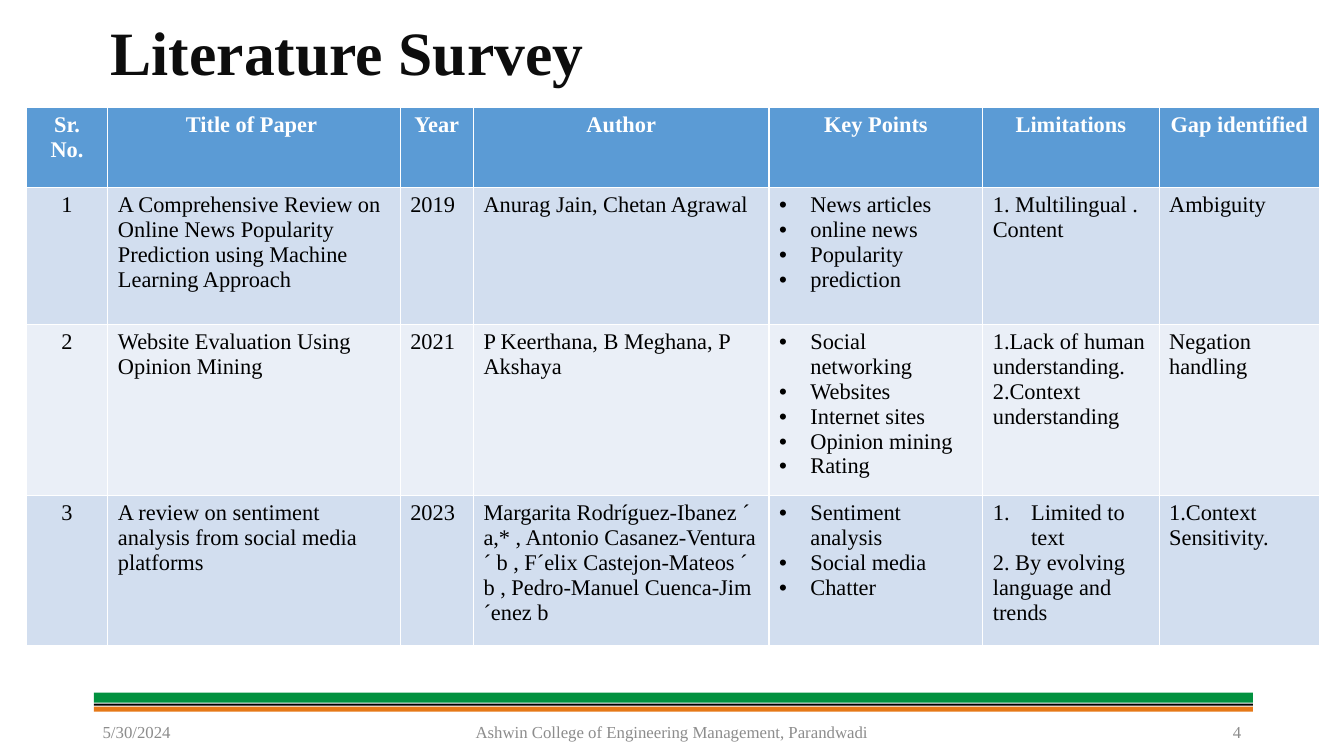
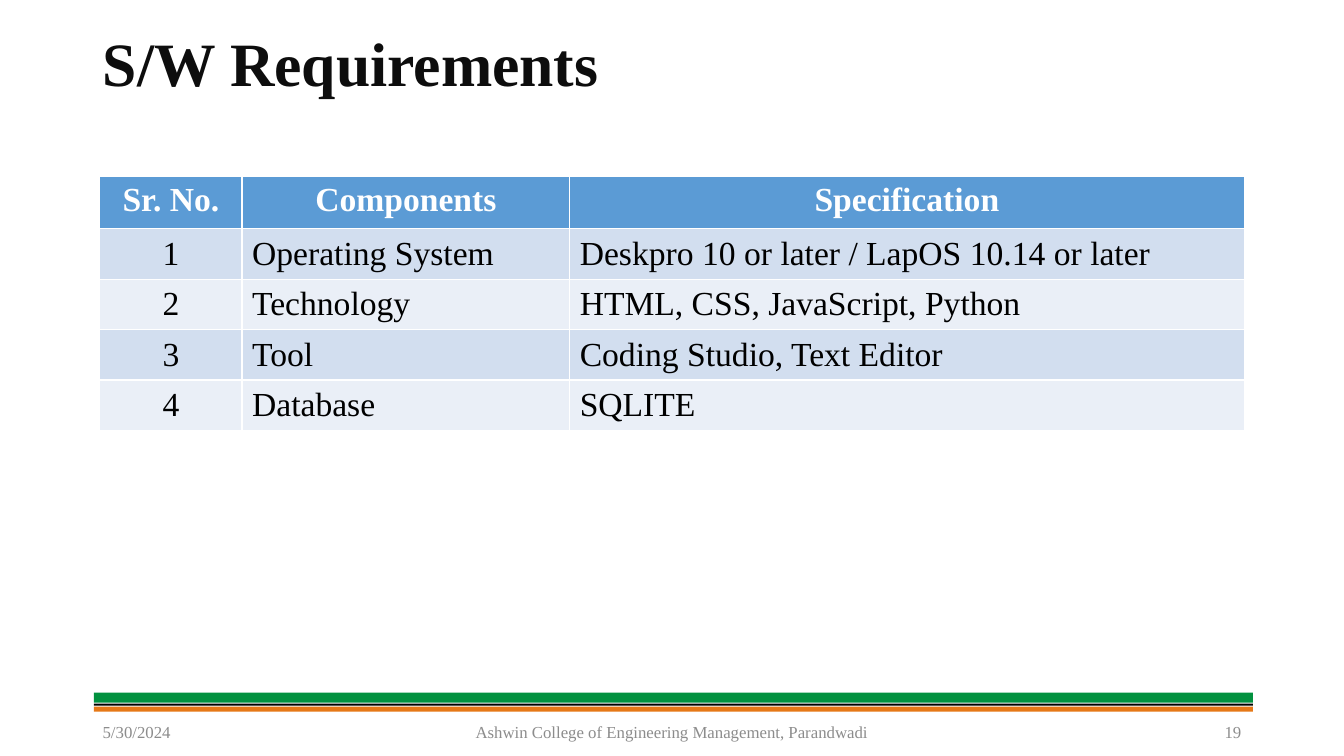
from dataclasses import dataclass

from lxml import etree
from pptx import Presentation
from pptx.dml.color import RGBColor
from pptx.enum.shapes import MSO_SHAPE
from pptx.enum.text import MSO_ANCHOR, MSO_AUTO_SIZE, PP_ALIGN
from pptx.oxml.ns import qn
from pptx.util import Inches, Pt

LEFT, CENTER, RIGHT = PP_ALIGN.LEFT, PP_ALIGN.CENTER, PP_ALIGN.RIGHT
TOP, MIDDLE = MSO_ANCHOR.TOP, MSO_ANCHOR.MIDDLE
RECTANGLE = MSO_SHAPE.RECTANGLE
NO_AUTOFIT = MSO_AUTO_SIZE.NONE
TITLE_ONLY = 5
WIDTH, HEIGHT = Inches(13.33), Inches(7.5)


@dataclass(frozen=True)
class Theme:
    typeface: str = "Times New Roman"
    title: str = "0D0D0D"
    header_text: str = "FFFFFF"
    body_text: str = "000000"
    footer_text: str = "8C8C8C"
    header_fill: str = "5B9BD5"
    row_fills: tuple = ("D2DEEF", "EAEFF7")
    title_size: int = 44
    footer_size: int = 12
    bands: tuple = (("02913F", 91.6, 1.33), ("E67817", 93.47, 0.67), ("000000", 93.07, 0.27))


THEME = Theme()
BAND_LEFT, BAND_WIDTH = 6.98, 86.25
FOOTER_MARGIN, FOOTER_TOP, FOOTER_HEIGHT = 6.9, 94.13, 5.33
SIDE_WIDTH, MIDDLE_WIDTH = 22.5, 33.75
DATE = "5/30/2024"
COLLEGE = "Ashwin College of Engineering Management, Parandwadi"
BULLET, NUMBER = "•", "1."
MARKER_INDENTS = {BULLET: Inches(0.31), NUMBER: Inches(0.38)}


def bulleted(*points):
    return [(BULLET, point) for point in points]


SURVEY_HEADER = ["Sr. No.", "Title of Paper ", "Year", "Author", "Key Points", "Limitations", "Gap identified"]
SURVEY_PAPERS = [
    ["1", "A Comprehensive Review on Online News Popularity Prediction using Machine Learning Approach",
     "2019", "Anurag Jain, Chetan Agrawal",
     bulleted("News articles", "online news", "Popularity", "prediction"),
     "1. Multilingual . Content", "Ambiguity"],
    ["2", "Website Evaluation Using Opinion Mining", "2021", "P Keerthana, B Meghana, P Akshaya",
     bulleted("Social networking", "Websites", "Internet sites", "Opinion mining", "Rating"),
     ["1.Lack of human understanding.", "2.Context understanding"], "Negation handling"],
    ["3", "A review on sentiment analysis from social media platforms", "2023",
     "Margarita Rodríguez-Ibanez ´ a,* , Antonio Casanez-Ventura ´ b , "
     "F´elix Castejon-Mateos ´ b , Pedro-Manuel Cuenca-Jim´enez b",
     bulleted("Sentiment analysis", "Social media", "Chatter"),
     [(NUMBER, "Limited to text"), "2. By evolving language and trends"], "1.Context Sensitivity."],
]
SOFTWARE_HEADER = ["Sr. No.", "Components", "Specification"]
SOFTWARE_ITEMS = [
    ["1", "Operating System", "Deskpro 10 or later / LapOS 10.14 or later"],
    ["2", "Technology", "HTML, CSS, JavaScript, Python"],
    ["3", "Tool", "Coding Studio, Text Editor"],
    ["4", "Database", "SQLITE"],
]


def across(percent):
    return round(WIDTH * percent / 100)


def down(percent):
    return round(HEIGHT * percent / 100)


def box(left, top, width, height):
    return across(left), down(top), across(width), down(height)


def apply(target, values):
    for attribute, value in values.items():
        setattr(target, attribute, value)


def paint(area, color):
    area.fill.solid()
    area.fill.fore_color.rgb = RGBColor.from_string(color)


def write(paragraph, text, size, color, bold=False, align=LEFT):
    run = paragraph.add_run()
    run.text = text
    apply(run.font, {"name": THEME.typeface, "size": Pt(size), "bold": bold})
    run.font.color.rgb = RGBColor.from_string(color)
    paragraph.alignment = align


def mark(paragraph, marker):
    properties = paragraph._p.get_or_add_pPr()
    indent = MARKER_INDENTS[marker]
    properties.set("marL", str(indent))
    properties.set("indent", str(-indent))
    if marker == NUMBER:
        etree.SubElement(properties, qn("a:buAutoNum"), type="arabicPeriod")
    else:
        etree.SubElement(properties, qn("a:buFont"), typeface="Arial")
        etree.SubElement(properties, qn("a:buChar"), char=marker)


def add_title(slide, text, area):
    title = slide.shapes.title
    apply(title, dict(zip(("left", "top", "width", "height"), box(*area))))
    apply(title.text_frame, {"vertical_anchor": MIDDLE, "word_wrap": True, "auto_size": NO_AUTOFIT})
    heading = title.text_frame.paragraphs[0]
    heading.line_spacing = 0.9
    write(heading, text, THEME.title_size, THEME.title, bold=True)


def add_bands(slide):
    for color, top, height in THEME.bands:
        band = slide.shapes.add_shape(RECTANGLE, *box(BAND_LEFT, top, BAND_WIDTH, height))
        band.shadow.inherit = False
        paint(band, color)
        band.line.fill.background()


def add_footer(slide, number):
    entries = (
        (DATE, FOOTER_MARGIN, SIDE_WIDTH, LEFT),
        (COLLEGE, (100 - MIDDLE_WIDTH) / 2, MIDDLE_WIDTH, CENTER),
        (str(number), 100 - FOOTER_MARGIN - SIDE_WIDTH, SIDE_WIDTH, RIGHT),
    )
    for text, left, width, align in entries:
        entry = slide.shapes.add_textbox(*box(left, FOOTER_TOP, width, FOOTER_HEIGHT))
        apply(entry.text_frame, {"word_wrap": True, "vertical_anchor": MIDDLE})
        write(entry.text_frame.paragraphs[0], text, THEME.footer_size, THEME.footer_text, align=align)


def fill_cell(cell, content, fill, anchor, **style):
    paint(cell, fill)
    cell.vertical_anchor = anchor
    lines = content if isinstance(content, list) else [content]
    for index, line in enumerate(lines):
        frame = cell.text_frame
        paragraph = frame.add_paragraph() if index else frame.paragraphs[0]
        marker, text = line if isinstance(line, tuple) else (None, line)
        write(paragraph, text, **style)
        if marker:
            mark(paragraph, marker)


def add_grid(slide, header, records, left, top, columns, rows, size, anchor=TOP):
    area = box(left, top, sum(columns), sum(rows))
    grid = slide.shapes.add_table(len(rows), len(columns), *area).table
    for column, share in zip(grid.columns, columns):
        column.width = across(share)
    for row, share in zip(grid.rows, rows):
        row.height = down(share)
    for index, label in enumerate(header):
        fill_cell(grid.cell(0, index), label, THEME.header_fill, TOP,
                  size=size, color=THEME.header_text, bold=True, align=CENTER)
    for row, record in enumerate(records, 1):
        fill = THEME.row_fills[(row - 1) % 2]
        for index, content in enumerate(record):
            fill_cell(grid.cell(row, index), content, fill, anchor, size=size,
                      color=THEME.body_text, align=LEFT if index else CENTER)


def add_page(deck, title, title_area, number):
    slide = deck.slides.add_slide(deck.slide_layouts[TITLE_ONLY])
    add_bands(slide)
    add_title(slide, title, title_area)
    add_footer(slide, number)
    return slide


def main():
    deck = Presentation()
    apply(deck, {"slide_width": WIDTH, "slide_height": HEIGHT})

    survey = add_page(deck, "Literature Survey", (7.5, 0.53, 91.67, 13.73), 4)
    add_grid(survey, SURVEY_HEADER, SURVEY_PAPERS, left=1.95, top=14.27,
             columns=(6.08, 21.75, 5.45, 22, 15.9, 13.12, 11.93),
             rows=(10.53, 18.13, 21.07, 19.87), size=16)

    software = add_page(deck, "S/W Requirements", (6.9, 0.53, 89.35, 16.53), 19)
    add_grid(software, SOFTWARE_HEADER, SOFTWARE_ITEMS, left=7.43, top=23.33,
             columns=(10.58, 24.38, 50.18),
             rows=(6.93, 6.5, 6.2, 6.2, 6.2), size=24, anchor=MIDDLE)

    deck.save("out.pptx")


if __name__ == "__main__":
    main()
